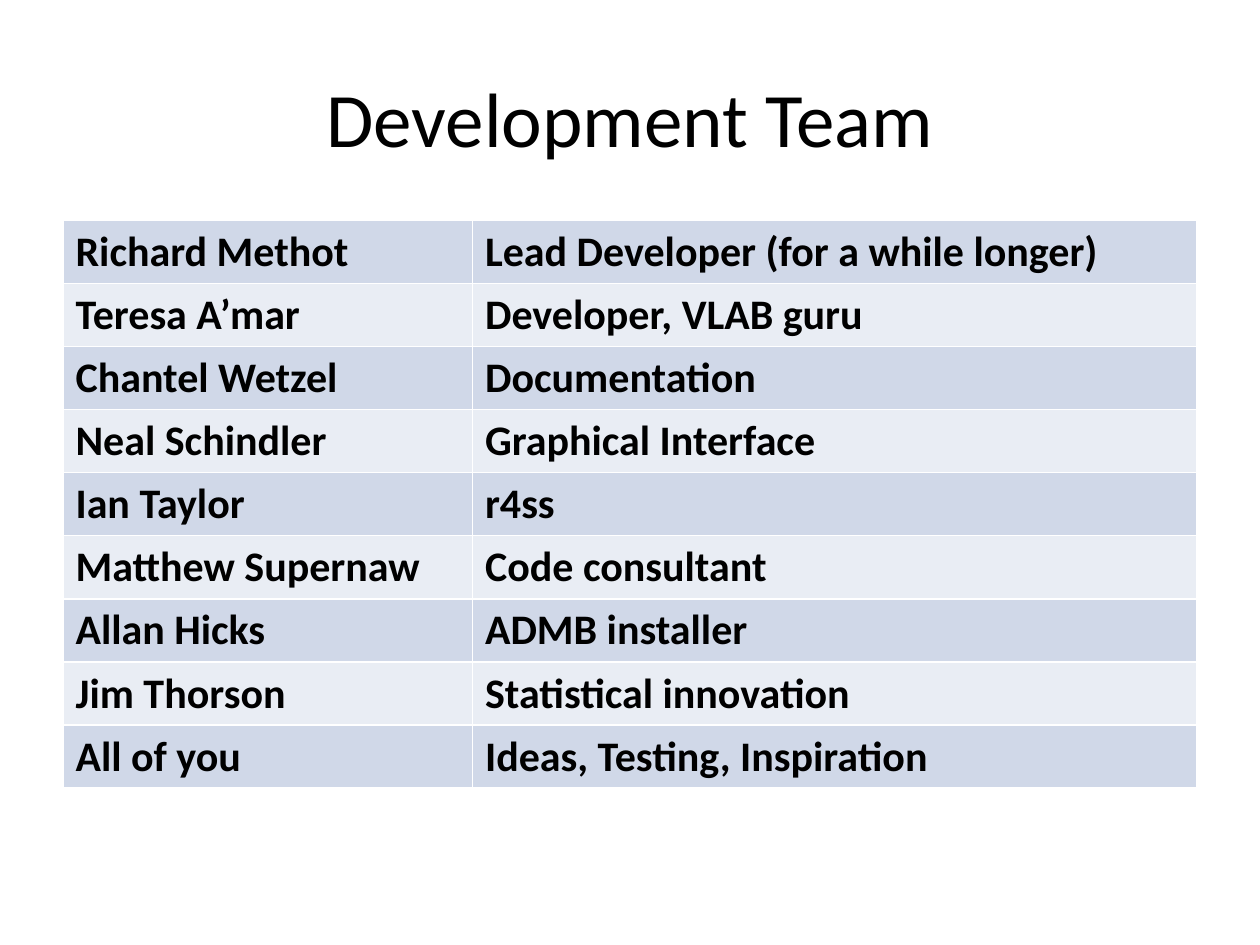
from pptx import Presentation
from pptx.dml.color import RGBColor as Rgb
from pptx.enum.text import MSO_ANCHOR as Anchor, PP_ALIGN as Align
from pptx.oxml import parse_xml
from pptx.oxml.ns import nsdecls
from pptx.util import Inches, Pt

WIDE, HIGH = Inches(10), Inches(7.5)
EDGE = 0.05
BANDS = ("D0D8E8", "E9EDF4")
TEAM = [
    ("Richard Methot", "Lead Developer (for a while longer)"),
    ("Teresa A’mar", "Developer, VLAB guru"),
    ("Chantel Wetzel", "Documentation"),
    ("Neal Schindler", "Graphical Interface"),
    ("Ian Taylor", "r4ss"),
    ("Matthew Supernaw", "Code consultant"),
    ("Allan Hicks", "ADMB installer"),
    ("Jim Thorson", "Statistical innovation"),
    ("All of you", "Ideas, Testing, Inspiration"),
]


def tint(fmt, code):
    fmt.rgb = Rgb.from_string(code)


def place(left, top, width, height):
    return (round(left * WIDE), round(top * HIGH),
            round(width * WIDE), round(height * HIGH))


def write(frame, text, size, bold=False):
    frame.text = text
    font = frame.paragraphs[0].runs[0].font
    font.name, font.size, font.bold = "Calibri", Pt(size), bold
    tint(font.color, "000000")


def add_title(slide, text):
    box = slide.shapes.add_textbox(*place(EDGE, 0.04, 1 - 2 * EDGE, 1 / 6))
    frame = box.text_frame
    frame.word_wrap = True
    frame.vertical_anchor = Anchor.MIDDLE
    write(frame, text, 44)
    frame.paragraphs[0].alignment = Align.CENTER


def rule(cell, code, width):
    props = cell._tc.get_or_add_tcPr()
    for slot, side in enumerate("LRTB"):
        line = parse_xml(
            f'<a:ln{side} {nsdecls("a")} w="{Pt(width)}"><a:solidFill>'
            f'<a:srgbClr val="{code}"/></a:solidFill></a:ln{side}>')
        props.insert(slot, line)


def add_roster(slide, team):
    spot = place(EDGE, 7 / 30, 1 - 2 * EDGE, 0.6)
    table = slide.shapes.add_table(len(team), 2, *spot).table
    table.first_row = False
    for col, share in zip(table.columns, (0.325, 0.575)):
        col.width = round(share * WIDE)
    for row, pair in enumerate(team):
        for col, text in enumerate(pair):
            cell = table.cell(row, col)
            write(cell.text_frame, text, 24, True)
            cell.fill.solid()
            tint(cell.fill.fore_color, BANDS[row % 2])
            rule(cell, "FFFFFF", 1)


def main():
    deck = Presentation()
    deck.slide_width, deck.slide_height = WIDE, HIGH
    slide = deck.slides.add_slide(deck.slide_layouts[6])
    add_title(slide, "Development Team")
    add_roster(slide, TEAM)
    deck.save("out.pptx")


if __name__ == "__main__":
    main()
